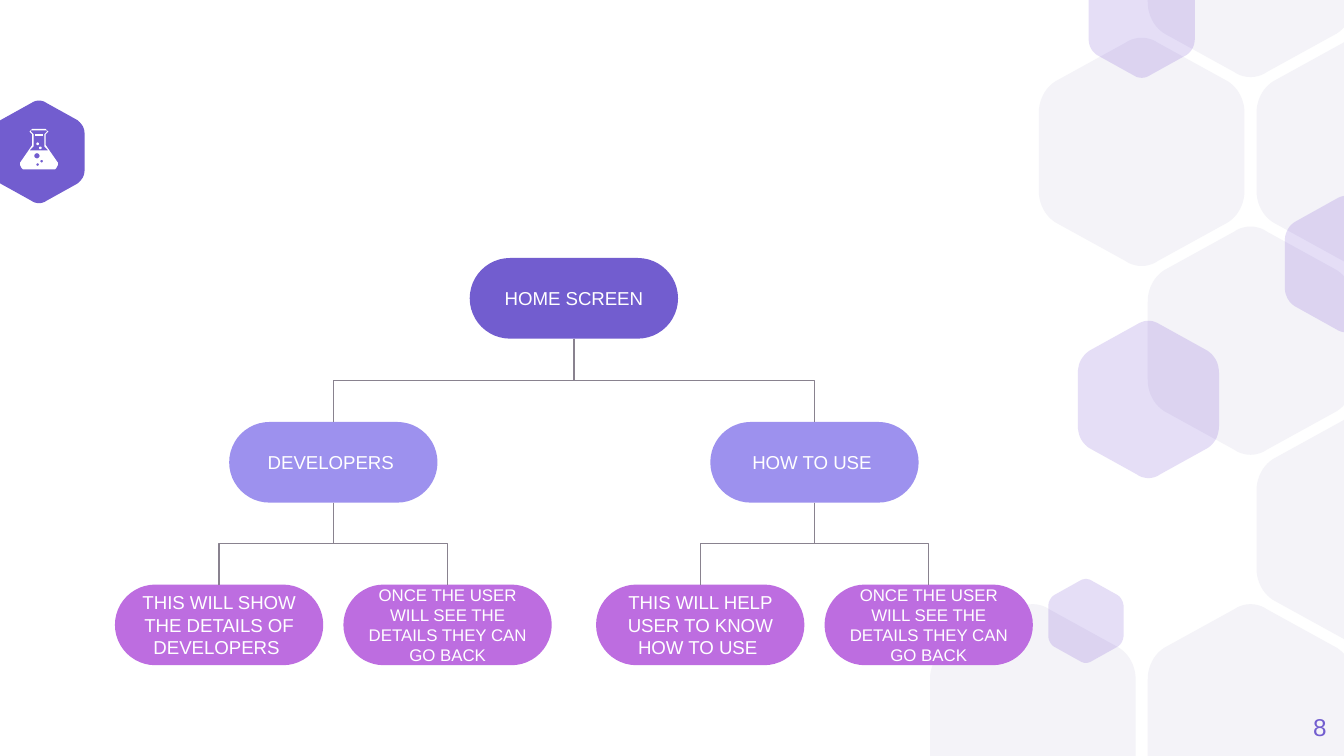
import math

from lxml import etree
from pptx import Presentation
from pptx.dml.color import RGBColor
from pptx.enum import shapes, text
from pptx.oxml.ns import qn
from pptx.util import Inches, Pt

SLIDE_W = 10
SLIDE_H = SLIDE_W * 9 / 16
FONT = "Arial"
VIOLET, LILAC, ORCHID = "725DCF", "9D91EE", "BD6DE0"
PALE, TINT, WHITE, GREY = "F4F3F8", "5322C9", "FFFFFF", "89828F"

# Screen tree: label, size in points, children
SCREENS = ("HOME SCREEN", 10, [
    ("DEVELOPERS ", 10, [
        ("THIS WILL SHOW THE DETAILS OF DEVELOPERS ", 10, []),
        ("ONCE THE USER WILL SEE THE DETAILS THEY CAN GO BACK", 9, []),
    ]),
    ("HOW TO USE ", 10, [
        ("THIS WILL HELP USER TO KNOW HOW TO USE ", 10, []),
        ("ONCE THE USER WILL SEE THE DETAILS THEY CAN GO BACK", 9, []),
    ]),
])
LEVEL_FILLS = [VIOLET, LILAC, ORCHID]
LEVEL_TOPS = [1.92, 3.14, 4.35]
CHILD_OFFSETS = [1.79, 0.85]
NODE_W, NODE_H = 1.55, 0.6


def color(hex_string):
    return RGBColor.from_string(hex_string)


def paint(shape, fill, alpha=None):
    shape.shadow.inherit = False
    shape.fill.solid()
    shape.fill.fore_color.rgb = color(fill)
    shape.line.fill.background()
    if alpha is not None:
        rgb = shape.fill._xPr.find(qn("a:solidFill"))[0]
        etree.SubElement(rgb, qn("a:alpha")).set("val", str(alpha * 1000))


def write(frame, words, size, font_color, align):
    frame.word_wrap = True
    frame.vertical_anchor = text.MSO_ANCHOR.MIDDLE
    paragraph = frame.paragraphs[0]
    paragraph.alignment = align
    run = paragraph.add_run()
    run.text = words
    run.font.name, run.font.size = FONT, Pt(size)
    run.font.color.rgb = color(font_color)


def draw_outline(slide, contours, fill, alpha=None):
    """Fill closed contours, given in inches; inner contours become holes."""
    rings = [[(x * 1000, y * 1000) for x, y in ring] for ring in contours]
    builder = slide.shapes.build_freeform(*rings[0][0], scale=Inches(1) / 1000)
    for number, ring in enumerate(rings):
        if number:
            builder.move_to(*ring[0])
        builder.add_line_segments(ring[1:], close=True)
    paint(builder.convert_to_shape(), fill, alpha)


def bezier(p0, p1, p2, p3, steps=10):
    for i in range(steps + 1):
        t = i / steps
        yield tuple((1 - t) ** 3 * a + 3 * t * (1 - t) ** 2 * b
                    + 3 * t * t * (1 - t) * c + t ** 3 * d
                    for a, b, c, d in zip(p0, p1, p2, p3))


def add_hexagon(slide, x, y, w, h, fill, alpha=None):
    """Rounded hexagon in the box, cut at the slide's top and bottom edges."""
    side = list(bezier((0, 0.33), (0, 0.27), (0.03, 0.22), (0.08, 0.19)))
    peak = list(bezier((0.42, 0.02), (0.47, -0.01), (0.53, -0.01), (0.58, 0.02)))
    top = side + peak + [(1 - px, py) for px, py in reversed(side)]
    ring = top + [(1 - px, 1 - py) for px, py in top]
    draw_outline(slide, [[(x + px * w, min(max(y + py * h, 0), SLIDE_H))
                          for px, py in ring]], fill, alpha)


def add_background(slide):
    add_hexagon(slide, -0.05, 0.75, 0.68, 0.76, VIOLET)
    # Honeycomb: half-column and row steps from the middle cell
    col, row = 0.81, 1.405
    for i, j in [(-2, 2), (0, 2), (1, -1), (0, -2), (0, 0), (-1, -1), (1, 1)]:
        add_hexagon(slide, 8.54 + i * col, 1.69 + j * row, 1.53, 1.69, PALE)
    # Translucent accents
    for x, y, w in [(9.56, 1.46, 0.91), (7.8, 4.31, 0.56),
                    (8.1, -0.3, 0.79), (8.02, 2.39, 1.05)]:
        add_hexagon(slide, x, y, w, w * 1.11, TINT, 15)


def circle(x, y, r):
    return [(x + r * math.cos(k * math.pi / 8), y + r * math.sin(k * math.pi / 8))
            for k in range(16)]


def add_flask(slide, x, y):
    """White flask, 0.28 by 0.3, with its liquid line at 0.16."""
    def mirrored(half):
        return half + [(0.28 - px, py) for px, py in reversed(half)]

    glass = mirrored([(0.09, 0), (0.08, 0.01), (0.07, 0.02), (0.09, 0.04),
                      (0.09, 0.12), (0, 0.25), (0, 0.27), (0.01, 0.29), (0.02, 0.3)])
    inside = mirrored([(0.08, 0.01), (0.08, 0.02), (0.1, 0.04), (0.1, 0.13),
                       (0.07, 0.16)])
    bubbles = [circle(0.125, 0.2, 0.02), circle(0.16, 0.24, 0.01),
               circle(0.13, 0.265, 0.01)]
    collar = mirrored([(0.11, 0.04), (0.11, 0.05)])
    drops = [circle(0.15, 0.14, 0.01), circle(0.13, 0.11, 0.01)]
    for contours in [[glass, inside, *bubbles], [drops[0]], [collar], [drops[1]]]:
        draw_outline(slide, [[(x + px, y + py) for px, py in ring]
                             for ring in contours], WHITE)


def add_elbow(slide, parent, child):
    """Glue parent bottom to child top, leaving and arriving vertically."""
    link = slide.shapes.add_connector(shapes.MSO_CONNECTOR.ELBOW, 0, 0, 0, 0)
    link.begin_connect(parent, 2)
    link.end_connect(child, 0)
    start_x, end_x = parent.left + parent.width // 2, child.left + child.width // 2
    start_y, end_y = parent.top + parent.height, child.top
    drop, run = end_y - start_y, abs(end_x - start_x)
    link.left = (start_x + end_x - drop) // 2
    link.top = (start_y + end_y - run) // 2
    link.width, link.height = drop, run
    # A quarter turn makes the first leg vertical
    to_right = end_x > start_x
    frame = link._element.spPr.xfrm
    frame.rot = 270 if to_right else 90
    frame.flipH, frame.flipV = to_right, False
    link.line.color.rgb = color(GREY)
    link.line.width = Pt(0.75)
    etree.SubElement(link._element.spPr, qn("a:effectLst"))


def add_screen(slide, screen, center, level=0):
    """Draw a screen, then its children, and return its box."""
    label, size, children = screen
    box = slide.shapes.add_shape(
        shapes.MSO_SHAPE.ROUNDED_RECTANGLE, Inches(center - NODE_W / 2),
        Inches(LEVEL_TOPS[level]), Inches(NODE_W), Inches(NODE_H))
    box.adjustments[0] = 0.5
    paint(box, LEVEL_FILLS[level])
    frame = box.text_frame
    frame.margin_left = frame.margin_right = Inches(0.1)
    frame.margin_top = frame.margin_bottom = Inches(0.1)
    write(frame, label, size, WHITE, text.PP_ALIGN.CENTER)
    for sign, child in zip((-1, 1), children):
        child_box = add_screen(slide, child, center + sign * CHILD_OFFSETS[level],
                               level + 1)
        add_elbow(slide, box, child_box)
    return box


def add_page_number(slide, x, y, w, h):
    frame = slide.shapes.add_textbox(Inches(x), Inches(y), Inches(w), Inches(h)).text_frame
    frame.margin_left = frame.margin_right = frame.margin_top = frame.margin_bottom = 0
    write(frame, "8", 13, VIOLET, text.PP_ALIGN.RIGHT)


def main():
    deck = Presentation()
    deck.slide_width, deck.slide_height = Inches(SLIDE_W), Inches(SLIDE_H)
    slide = deck.slides.add_slide(deck.slide_layouts[6])
    add_background(slide)
    add_page_number(slide, 9.27, 5.19, 0.6, 0.43)
    add_flask(slide, 0.15, 0.96)
    add_screen(slide, SCREENS, 4.27)
    deck.save("out.pptx")


if __name__ == "__main__":
    main()
